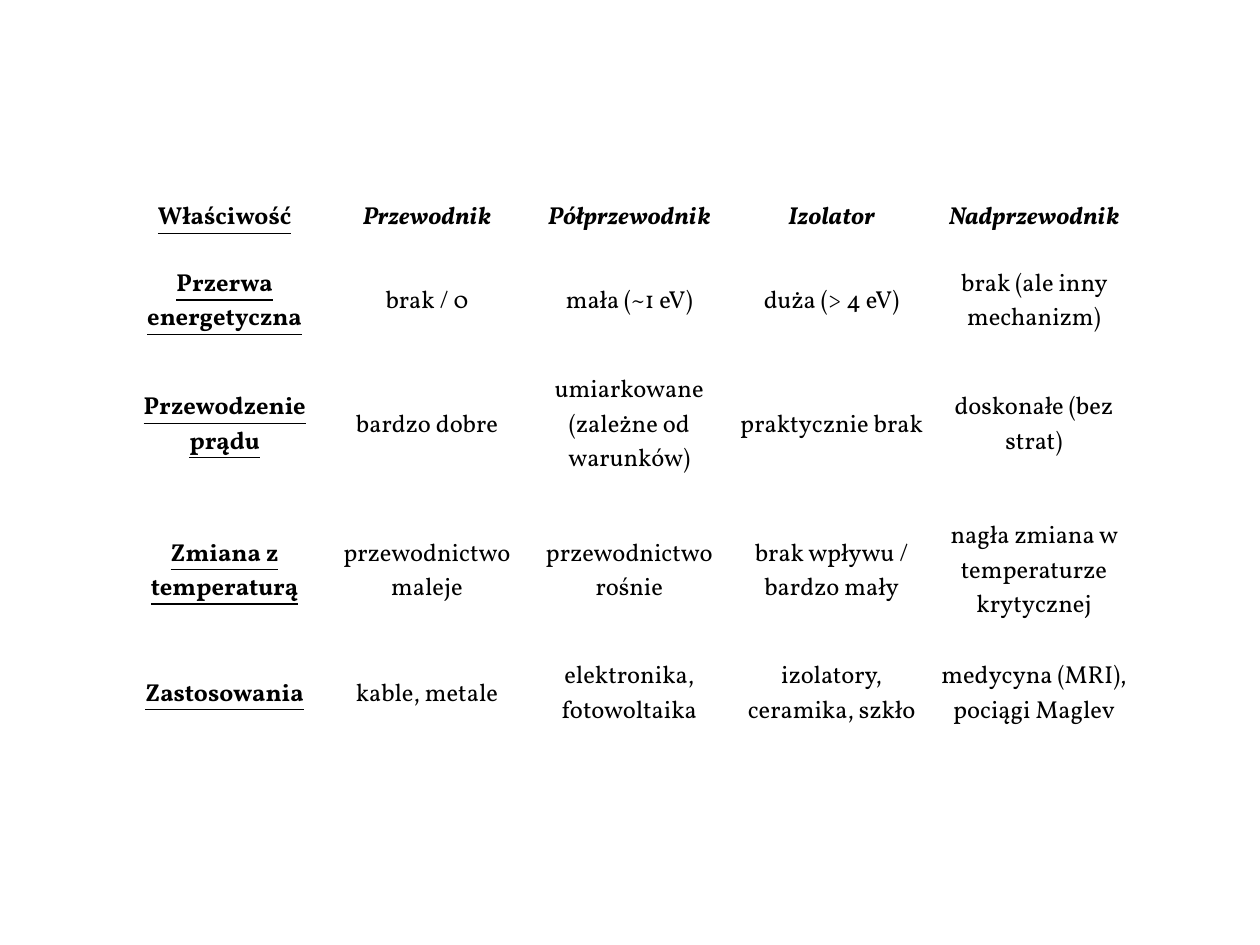
from dataclasses import dataclass

from pptx import Presentation
from pptx.dml.color import RGBColor
from pptx.enum.text import MSO_ANCHOR, PP_ALIGN
from pptx.slide import Slide
from pptx.util import Inches, Pt

SLIDE_WIDTH, SLIDE_HEIGHT = 10, 7.5
ROW_HEIGHTS = [0.53, 0.8, 1.16, 1.16, 0.79]
PROPERTIES = [
    ["Właściwość", "Przewodnik", "Półprzewodnik", "Izolator", "Nadprzewodnik"],
    ["Przerwa energetyczna", "brak / 0", "mała (~1 eV)", "duża (> 4 eV)",
     "brak (ale inny mechanizm)"],
    ["Przewodzenie prądu", "bardzo dobre", "umiarkowane (zależne od warunków)",
     "praktycznie brak", "doskonałe (bez strat)"],
    ["Zmiana z temperaturą", "przewodnictwo maleje", "przewodnictwo rośnie",
     "brak wpływu / bardzo mały", "nagła zmiana w temperaturze krytycznej"],
    ["Zastosowania", "kable, metale", "elektronika, fotowoltaika",
     "izolatory, ceramika, szkło", "medycyna (MRI), pociągi Maglev"],
]


def color(value):
    """Turn a hex string into a colour."""
    return RGBColor.from_string(value)


def write_text(frame, text, *, font, size, ink, bold=False, italic=False, underline=False):
    """Write one centred paragraph in the given format."""
    paragraph = frame.paragraphs[0]
    paragraph.alignment = PP_ALIGN.CENTER
    run = paragraph.add_run()
    run.text = text
    run.font.name = font
    run.font.size = Pt(size)
    run.font.color.rgb = color(ink)
    run.font.bold = bold
    run.font.italic = italic
    run.font.underline = underline


@dataclass
class SlideBuilder:
    """Hold the style and the current slide."""

    slide: Slide
    font: str = "Vollkorn"
    size: float = 14
    ink: str = "000000"

    def add_table(self, rows, left, top, width, heights):
        """Add a plain table placed by shares of the slide's size."""
        shape = self.slide.shapes.add_table(
            len(rows), len(rows[0]), Inches(left * SLIDE_WIDTH), Inches(top * SLIDE_HEIGHT),
            Inches(width * SLIDE_WIDTH), Inches(sum(heights)))
        table = shape.table
        table.first_row = table.horz_banding = False
        for row, height in zip(table.rows, heights):
            row.height = Inches(height)
        for row_index, texts in enumerate(rows):
            for column_index, text in enumerate(texts):
                self.fill_cell(table.cell(row_index, column_index), text,
                               bold=row_index == 0 or column_index == 0,
                               italic=row_index == 0 and column_index > 0,
                               underline=column_index == 0)

    def fill_cell(self, cell, text, **emphasis):
        """Write a cell without fill, centred both ways."""
        cell.fill.background()
        cell.vertical_anchor = MSO_ANCHOR.MIDDLE
        cell.margin_left = cell.margin_right = Inches(0.06)
        cell.margin_top = cell.margin_bottom = Inches(0.05)
        write_text(cell.text_frame, text, font=self.font, size=self.size, ink=self.ink, **emphasis)


def main():
    """Build and save the slide."""
    presentation = Presentation()
    presentation.slide_width = Inches(SLIDE_WIDTH)
    presentation.slide_height = Inches(SLIDE_HEIGHT)
    builder = SlideBuilder(presentation.slides.add_slide(presentation.slide_layouts[6]))
    builder.add_table(PROPERTIES, left=0.098, top=0.196, width=0.803, heights=ROW_HEIGHTS)
    presentation.save("out.pptx")


if __name__ == "__main__":
    main()
